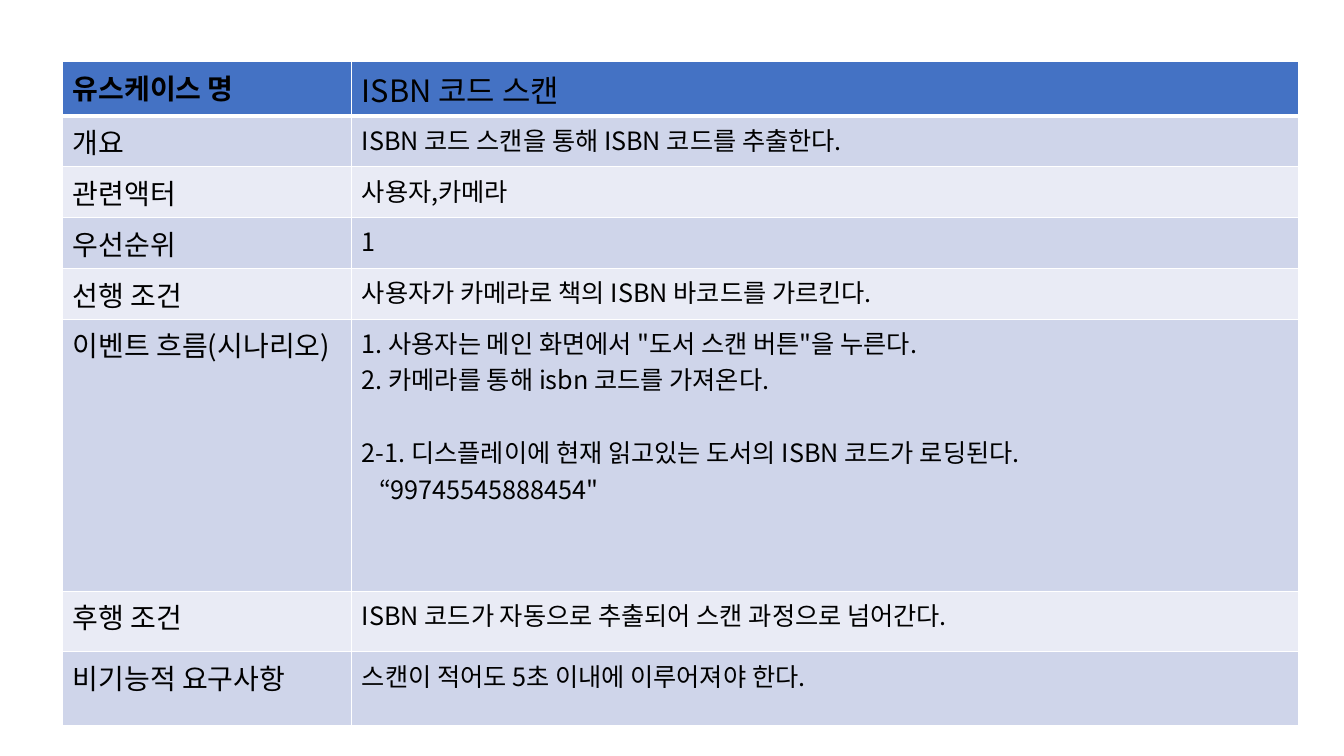
from pptx import Presentation
from pptx.dml.color import RGBColor
from pptx.oxml.ns import qn
from pptx.util import Inches, Pt
from lxml.etree import SubElement

FONT = "Noto Sans CJK KR"
BLACK, WHITE = "000000", "FFFFFF"
HEADER_FILL = "4472C4"
BAND_FILLS = ["E9EBF5", "CFD5EA"]
LABEL_SIZE, BODY_SIZE, TITLE_SIZE = 20, 18, 22
TABLE_LEFT, TABLE_TOP = 0.62, 0.61
COLUMN_WIDTHS = [2.87, 9.39]
FLOW_GAP = 26
QUOTE_INDENT = 0.17

USE_CASE = [
    (0.48, "유스케이스 명", ["ISBN 코드 스캔"]),
    (0.42, "개요", ["ISBN 코드 스캔을 통해 ISBN 코드를 추출한다."]),
    (0.42, "관련액터", ["사용자,카메라"]),
    (0.42, "우선순위", ["1"]),
    (0.42, "선행 조건", ["사용자가 카메라로 책의 ISBN 바코드를 가르킨다."]),
    (2.7, "이벤트 흐름(시나리오)", [
        '1. 사용자는 메인 화면에서 "도서 스캔 버튼"을 누른다.',
        "2. 카메라를 통해 isbn 코드를 가져온다.",
        "2-1. 디스플레이에 현재 읽고있는 도서의 ISBN 코드가 로딩된다.",
        '“99745545888454"',
    ]),
    (0.6, "후행 조건", ["ISBN 코드가 자동으로 추출되어 스캔 과정으로 넘어간다."]),
    (0.73, "비기능적 요구사항", ["스캔이 적어도 5초 이내에 이루어져야 한다."]),
]


def color(value):
    return RGBColor.from_string(value)


def add_borders(cell, widths):
    properties = cell._tc.get_or_add_tcPr()
    for side, width in widths.items():
        line = SubElement(properties, qn(f"a:ln{side}"), w=str(Pt(width)))
        fill = SubElement(line, qn("a:solidFill"))
        SubElement(fill, qn("a:srgbClr"), val=WHITE)


def write_cell(cell, lines, size, bold):
    cell.text_frame.text = "\n".join(lines)
    for para in cell.text_frame.paragraphs:
        if para.text.startswith("2-1."):
            para.space_before = Pt(FLOW_GAP)
        if para.text.startswith("“"):
            para._p.get_or_add_pPr().set("marL", str(Inches(QUOTE_INDENT)))
        for span in para.runs:
            span.font.size = Pt(size)
            span.font.bold = bold
            span.font.name = FONT
            span.font.color.rgb = color(BLACK)
            SubElement(span._r.get_or_add_rPr(), qn("a:ea"), typeface=FONT)


def add_use_case_table(page):
    heights = [height for height, label, lines in USE_CASE]
    table = page.shapes.add_table(
        len(USE_CASE), len(COLUMN_WIDTHS), Inches(TABLE_LEFT), Inches(TABLE_TOP),
        Inches(sum(COLUMN_WIDTHS)), Inches(sum(heights))).table
    for column, width in zip(table.columns, COLUMN_WIDTHS):
        column.width = Inches(width)
    for index, (height, label, lines) in enumerate(USE_CASE):
        is_header = index == 0
        table.rows[index].height = Inches(height)
        label_cell, body_cell = table.rows[index].cells
        write_cell(label_cell, [label], LABEL_SIZE, is_header)
        write_cell(body_cell, lines, TITLE_SIZE if is_header else BODY_SIZE, False)
        top = 3 if index == 1 else 1
        bottom = 3 if is_header else 1
        for cell in (label_cell, body_cell):
            add_borders(cell, {"L": 1, "R": 1, "T": top, "B": bottom})
            cell.fill.solid()
            cell.fill.fore_color.rgb = color(HEADER_FILL if is_header else BAND_FILLS[index % 2])


def main():
    deck = Presentation()
    deck.slide_width, deck.slide_height = Inches(13.33), Inches(7.5)
    page = deck.slides.add_slide(deck.slide_layouts[6])
    add_use_case_table(page)
    deck.save("out.pptx")


if __name__ == "__main__":
    main()
